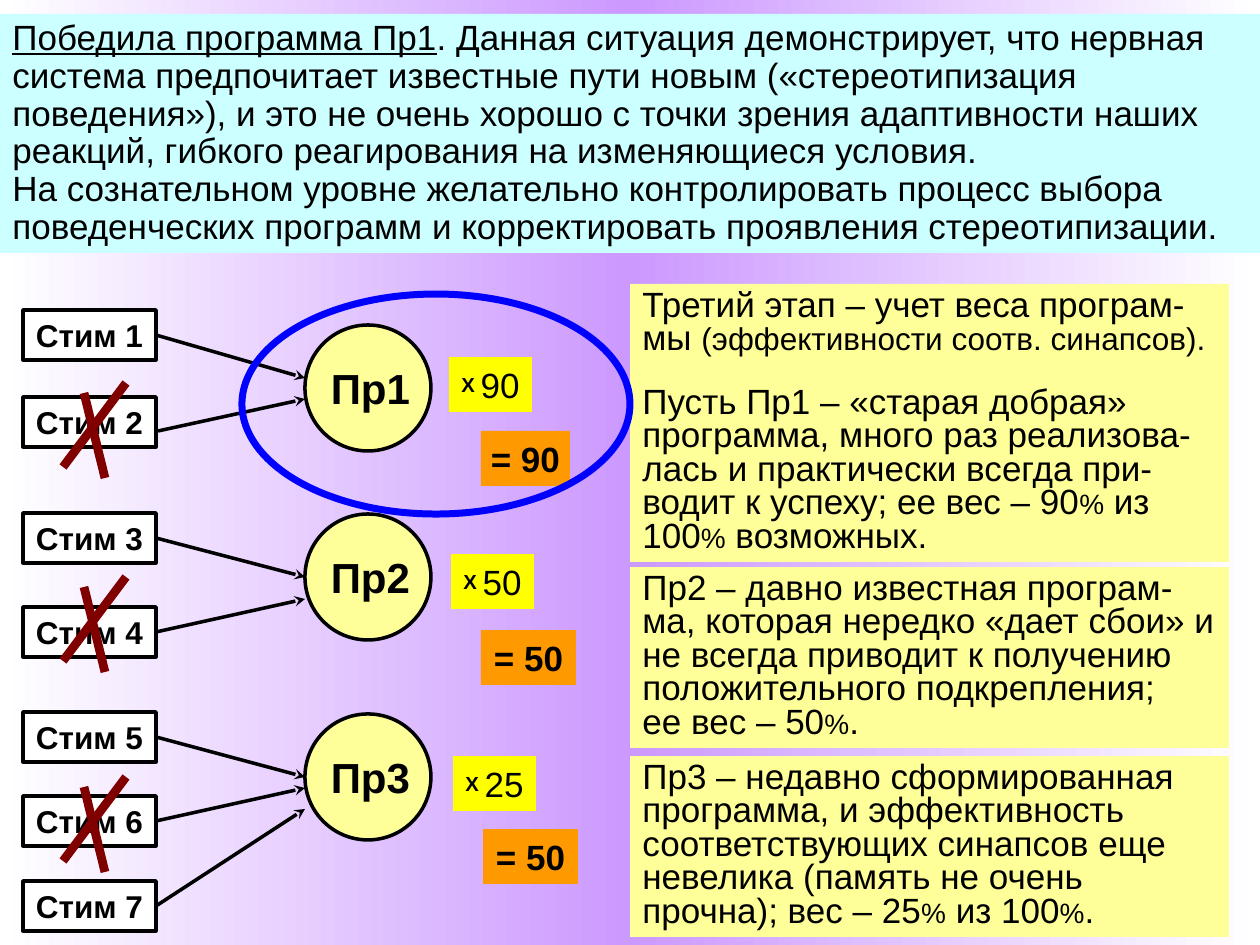
from copy import deepcopy

from lxml import etree
from pptx import Presentation
from pptx import util as u
from pptx.dml.color import RGBColor
from pptx.enum import shapes, text
from pptx.oxml.ns import qn

EMU_PER_PX = 914400 / 126
BLACK, WHITE, CREAM = "000000", "FFFFFF", "FFFF99"
RECT, OVAL = shapes.MSO_SHAPE.RECTANGLE, shapes.MSO_SHAPE.OVAL


def px(n):
    return u.Emu(round(n * EMU_PER_PX))


def color(hex_string):
    return RGBColor.from_string(hex_string)


def paint_background(slide, stops):
    fill = slide.background.fill
    fill.gradient()
    fill.gradient_angle = 0
    stop_list = slide._element.find(".//" + qn("a:gsLst"))
    stop_list.append(deepcopy(stop_list[0]))
    for stop, (position, hex_string) in zip(fill.gradient_stops, stops):
        stop.position = position
        stop.color.rgb = color(hex_string)


def add_figure(slide, kind, box, fill=None, line=None, width=2):
    figure = slide.shapes.add_shape(kind, *map(px, box))
    figure.shadow.inherit = False
    if fill:
        figure.fill.solid()
        figure.fill.fore_color.rgb = color(fill)
    else:
        figure.fill.background()
    if line:
        figure.line.color.rgb = color(line)
        figure.line.width = u.Pt(width)
    else:
        figure.line.fill.background()
    return figure


def add_run(paragraph, words, size=20, bold=False, underline=False, baseline=0):
    run = paragraph.add_run()
    run.text = words
    font = run.font
    font.name, font.size, font.bold = "Arial", u.Pt(size), bold
    font.color.rgb = color(BLACK)
    if underline:
        font.underline = True
    if baseline:
        run._r.get_or_add_rPr().set("baseline", str(baseline * 1000))


def add_panel(slide, box, fill, paragraphs, spacing, gap=0):
    """Left-aligned text panel; each paragraph is a list of (words, font options)."""
    frame = add_figure(slide, RECT, box, fill).text_frame
    frame.word_wrap = True
    frame.vertical_anchor = text.MSO_ANCHOR.TOP
    for i, runs in enumerate(paragraphs):
        paragraph = frame.add_paragraph() if i else frame.paragraphs[0]
        paragraph.alignment = text.PP_ALIGN.LEFT
        paragraph.line_spacing = spacing
        if i and gap:
            paragraph.space_before = u.Pt(gap)
        for words, options in runs:
            add_run(paragraph, words, **options)


def add_label(slide, kind, box, fill, runs, line=None):
    """Shape with one centred line of text."""
    label = add_figure(slide, kind, box, fill, line)
    frame = label.text_frame
    frame.word_wrap = False
    frame.vertical_anchor = text.MSO_ANCHOR.MIDDLE
    frame.paragraphs[0].alignment = text.PP_ALIGN.CENTER
    for words, options in runs:
        add_run(frame.paragraphs[0], words, **options)
    return label


def add_line(slide, start, end, hex_string=BLACK, width=2, arrow=False):
    line = slide.shapes.add_connector(
        shapes.MSO_CONNECTOR.STRAIGHT, *map(px, start + end))
    line.line.color.rgb = color(hex_string)
    line.line.width = u.Pt(width)
    if arrow:
        etree.SubElement(line.line._get_or_add_ln(), qn("a:tailEnd"), type="stealth")
    etree.SubElement(line._element.spPr, qn("a:effectLst"))
    return line


def add_cross(slide, left, top):
    for start, end in (((0, 84), (63, 0)), ((42, 95), (21, 10))):
        add_line(slide, (left + start[0], top + start[1]),
                 (left + end[0], top + end[1]), "800000", 5)


def add_program(slide, left, top, name, stimuli, cross, weight, result):
    """Stimuli, circle, weight and result, placed from the circle's top edge."""
    circle = add_label(slide, OVAL, (left + 282, top, 126, 126), CREAM,
                       [(name, dict(size=24, bold=True))], BLACK)
    circle.text_frame.margin_left, circle.text_frame.margin_right = px(5), 0

    for stimulus, y, arrow_start, arrow_end in stimuli:
        box = add_label(slide, RECT, (left, top + y, 133, 50), WHITE,
                        [(stimulus, dict(size=18, bold=True))], BLACK)
        arrow = add_line(slide, (left + 135, top + (arrow_start or y + 25)),
                         (left + 282, top + arrow_end), arrow=True)
        if arrow_start is None:
            arrow.begin_connect(box, 3)
    add_cross(slide, left + 40, top + cross)

    x, y, share = weight
    add_label(slide, RECT, (left + x, top + y, 83, 55), "FFFF00",
              [("Х ", dict(bold=True, baseline=16)), (share, {})])
    x, y, width, total = result
    add_label(slide, RECT, (left + x, top + y, width, 55), "FF9900",
              [(total, dict(bold=True))])


INTRO = [
    [("Победила программа Пр1", dict(underline=True)),
     (". Данная ситуация демонстрирует, что нервная система предпочитает известные "
      "пути новым («стереотипизация поведения»), и это не очень хорошо с точки зрения "
      "адаптивности наших реакций, гибкого реагирования на изменяющиеся условия.", {})],
    [("На сознательном уровне желательно контролировать процесс выбора поведенческих "
      "программ и корректировать проявления стереотипизации.", {})],
]
PERCENT = ("%", dict(size=16))
# Each entry: top, height, paragraph gap in points, paragraphs
COMMENTS = [
    (284, 278, 17, [
        [("Третий этап – учет веса програм-мы ", {}),
         ("(эффективности соотв. синапсов).", dict(size=18))],
        [("Пусть Пр1 – «старая добрая» программа, много раз реализова-лась и "
          "практически всегда при-водит к успеху; ее вес – 90", {}),
         PERCENT, (" из 100", {}), PERCENT, (" возможных.", {})]]),
    (567, 181, 0, [
        [("Пр2 – давно известная програм-ма, которая нередко «дает сбои» и не всегда "
          "приводит к получению положительного подкрепления;", {})],
        [("ее вес – 50", {}), PERCENT, (".", {})]]),
    (756, 181, 0, [
        [("Пр3 – недавно сформированная программа, и эффективность соответствующих "
          "синапсов еще невелика (память не очень прочна); вес – 25", {}),
         PERCENT, (" из 100", {}), PERCENT, (".", {})]]),
]
# Each stimulus: label, top, arrow start (None: middle of the side), arrow end
PROGRAMS = [
    (325, "Пр1", [("Стим 1", -15, None, 53), ("Стим 2", 72, 106, 74)],
     58, (426, 32, "90"), (458, 106, 89, "= 90")),
    (514, "Пр2", [("Стим 3", -1, None, 63), ("Стим 4", 93, None, 85)],
     63, (428, 40, "50"), (458, 116, 95, "= 50")),
    (714, "Пр3", [("Стим 5", -2, None, 63), ("Стим 6", 82, None, 74),
                  ("Стим 7", 167, None, 95)],
     63, (430, 42, "25"), (460, 115, 95, "= 50")),
]


def main():
    deck = Presentation()
    deck.slide_width, deck.slide_height = px(1260), px(945)
    slide = deck.slides.add_slide(deck.slide_layouts[6])
    paint_background(slide, [(0, WHITE), (0.5, "CC99FF"), (1, WHITE)])

    add_panel(slide, (0, 14, 1260, 239), "CCFFFF", INTRO, 0.9)
    for top, *parts in PROGRAMS:
        add_program(slide, 23, top, *parts)
    for top, height, gap, paragraphs in COMMENTS:
        add_panel(slide, (630, top, 599, height), CREAM, paragraphs, 0.8, gap)
    add_figure(slide, OVAL, (242, 294, 388, 220), line="0000FF", width=4)

    deck.save("out.pptx")


if __name__ == "__main__":
    main()
